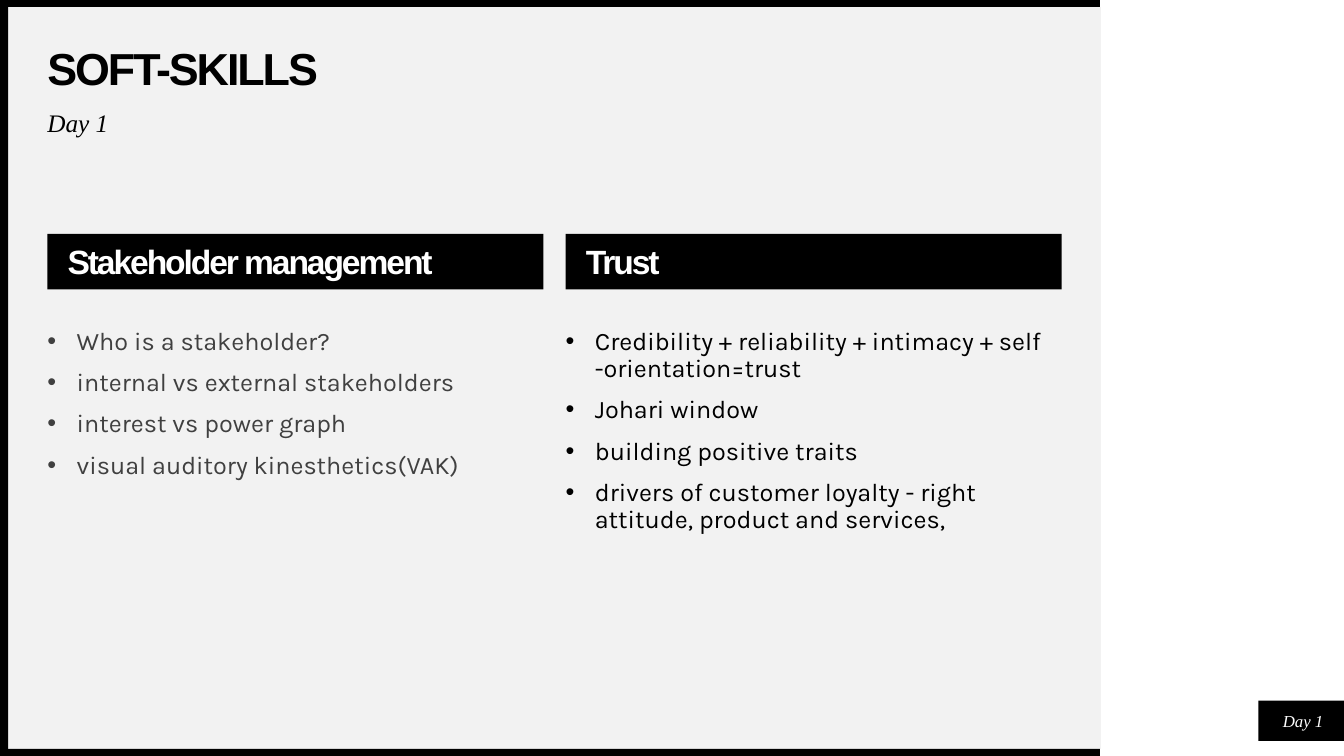
from dataclasses import dataclass

from lxml.etree import SubElement
from pptx import Presentation
from pptx.dml.color import RGBColor
from pptx.enum.shapes import MSO_SHAPE
from pptx.enum.text import MSO_ANCHOR, PP_ALIGN
from pptx.oxml.ns import qn
from pptx.util import Inches, Pt


@dataclass(frozen=True)
class Theme:
    black: str = "000000"
    white: str = "FFFFFF"
    panel: str = "F2F2F2"
    grey: str = "404040"
    heading_font: str = "Arial"
    body_font: str = "Karla"
    accent_font: str = "Times New Roman"
    title_size: int = 32
    heading_size: int = 24
    body_size: int = 18
    tag_size: int = 12


theme = Theme()
presentation = Presentation()
presentation.slide_width = Inches(13.33)
presentation.slide_height = Inches(7.5)
slide = presentation.slides.add_slide(presentation.slide_layouts[6])


def add_block(left, top, width, height, color):
    block = slide.shapes.add_shape(
        MSO_SHAPE.RECTANGLE, Inches(left), Inches(top), Inches(width), Inches(height)
    )
    block.shadow.inherit = False
    block.fill.solid()
    block.fill.fore_color.rgb = RGBColor.from_string(color)
    block.line.fill.background()
    return block


def write(holder, *lines, font, size, color, bold=False, italic=False, tracking=0,
          anchor=MSO_ANCHOR.TOP, align=PP_ALIGN.LEFT, spacing=0.9, before=0,
          inset=(0, 0), bullet=False):
    """Fill a shape, or a new text box at the given (left, top, width, height)."""
    if isinstance(holder, tuple):
        holder = slide.shapes.add_textbox(*map(Inches, holder))
    frame = holder.text_frame
    frame.word_wrap = True
    frame.vertical_anchor = anchor
    frame.margin_left, frame.margin_top = map(Inches, inset)
    frame.margin_right = frame.margin_bottom = 0
    for index, line in enumerate(lines):
        paragraph = frame.add_paragraph() if index else frame.paragraphs[0]
        paragraph.alignment = align
        paragraph.line_spacing = spacing
        paragraph.space_before = Pt(before)
        if bullet:
            properties = paragraph._p.get_or_add_pPr()
            properties.set("marL", str(Inches(0.29)))
            properties.set("indent", str(-Inches(0.29)))
            SubElement(properties, qn("a:buFont")).set("typeface", "Arial")
            SubElement(properties, qn("a:buChar")).set("char", "•")
        run = paragraph.add_run()
        run.text = line
        run.font.name = font
        run.font.size = Pt(size)
        run.font.bold = bold
        run.font.italic = italic
        run.font.color.rgb = RGBColor.from_string(color)
        if tracking:
            run._r.get_or_add_rPr().set("spc", str(round(tracking * 100)))


# Background panel and its black frame
add_block(0.08, 0.07, 10.84, 7.36, theme.panel)
for edge in [(0, 7.43, 10.91, 0.07), (0, 0, 10.91, 0.07), (0, 0.03, 0.08, 7.47)]:
    add_block(*edge, theme.black)

# Title and subtitle
write((0.47, 0.47, 10.06, 0.47), "SOFT-SKILLS", font=theme.heading_font,
      size=theme.title_size, color=theme.black, bold=True, tracking=-1.5,
      anchor=MSO_ANCHOR.MIDDLE)
write((0.47, 1.1, 10.06, 0.39), "Day 1", font=theme.accent_font,
      size=theme.body_size, color=theme.black, italic=True, before=10)

# Two topic columns
topics = [
    ("Stakeholder management", theme.grey, [
        "Who is a stakeholder?",
        "internal vs external stakeholders",
        "interest vs power graph",
        "visual auditory kinesthetics(VAK)",
    ]),
    ("Trust", theme.black, [
        "Credibility + reliability + intimacy + self -orientation=trust",
        "Johari window",
        "building positive traits",
        "drivers of customer loyalty - right attitude, product and services,",
    ]),
]
column_width = 4.92
column_step = 5.14
for column, (heading, color, points) in enumerate(topics):
    left = 0.47 + column * column_step
    write(add_block(left, 2.32, column_width, 0.55, theme.black), heading,
          font=theme.heading_font, size=theme.heading_size, color=theme.white,
          bold=True, tracking=-1.5, anchor=MSO_ANCHOR.MIDDLE, before=10,
          inset=(0.2, 0.04))
    write((left, 3.26, column_width, 2.76), *points, font=theme.body_font,
          size=theme.body_size, color=color, before=10, bullet=True)

# Day tag in the corner
add_block(12.48, 6.95, 0.85, 0.4, theme.black)
write((12.52, 7, 0.81, 0.3), "Day 1", font=theme.accent_font, size=theme.tag_size,
      color=theme.white, italic=True, anchor=MSO_ANCHOR.MIDDLE,
      align=PP_ALIGN.CENTER, spacing=1.0)

presentation.save("out.pptx")
